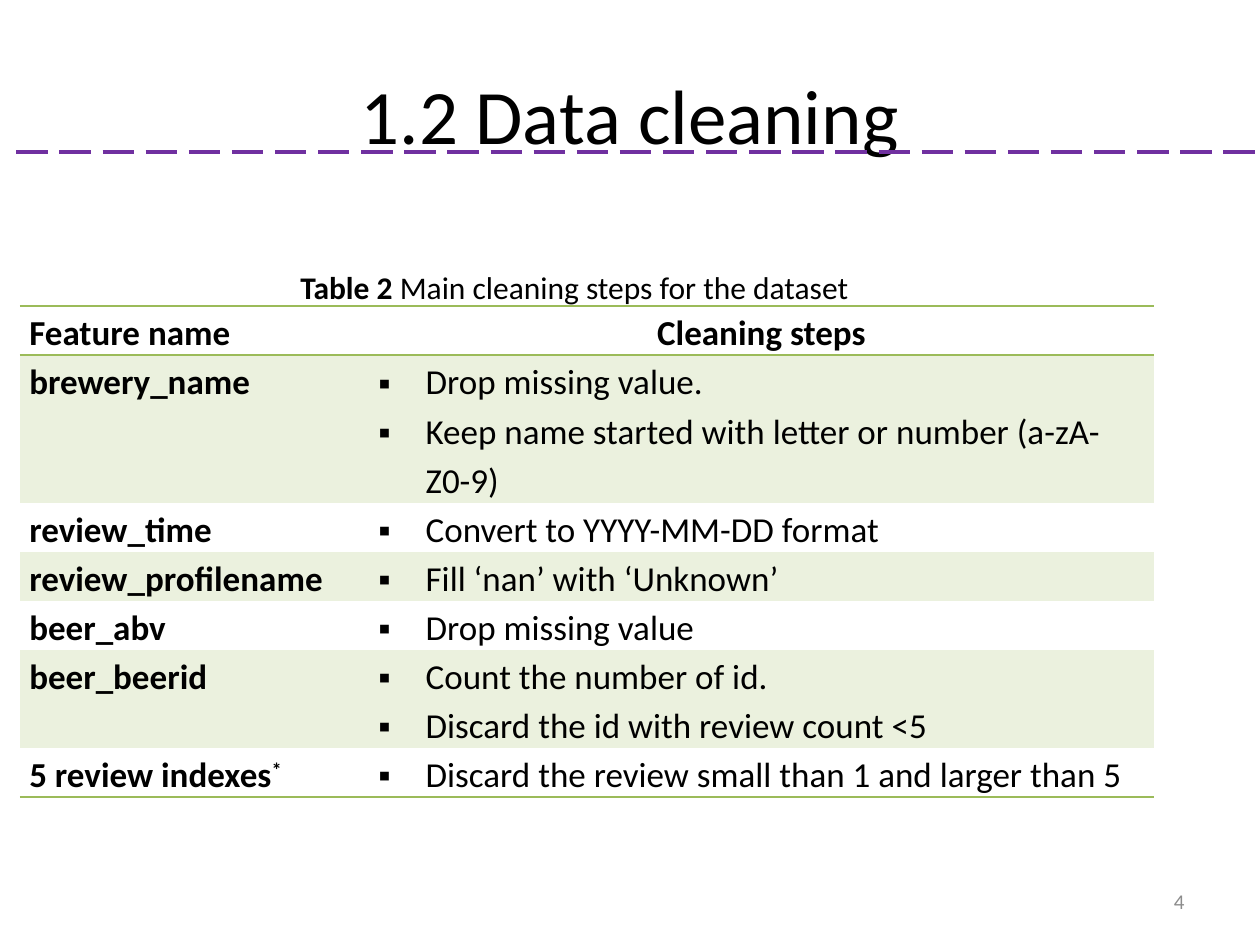
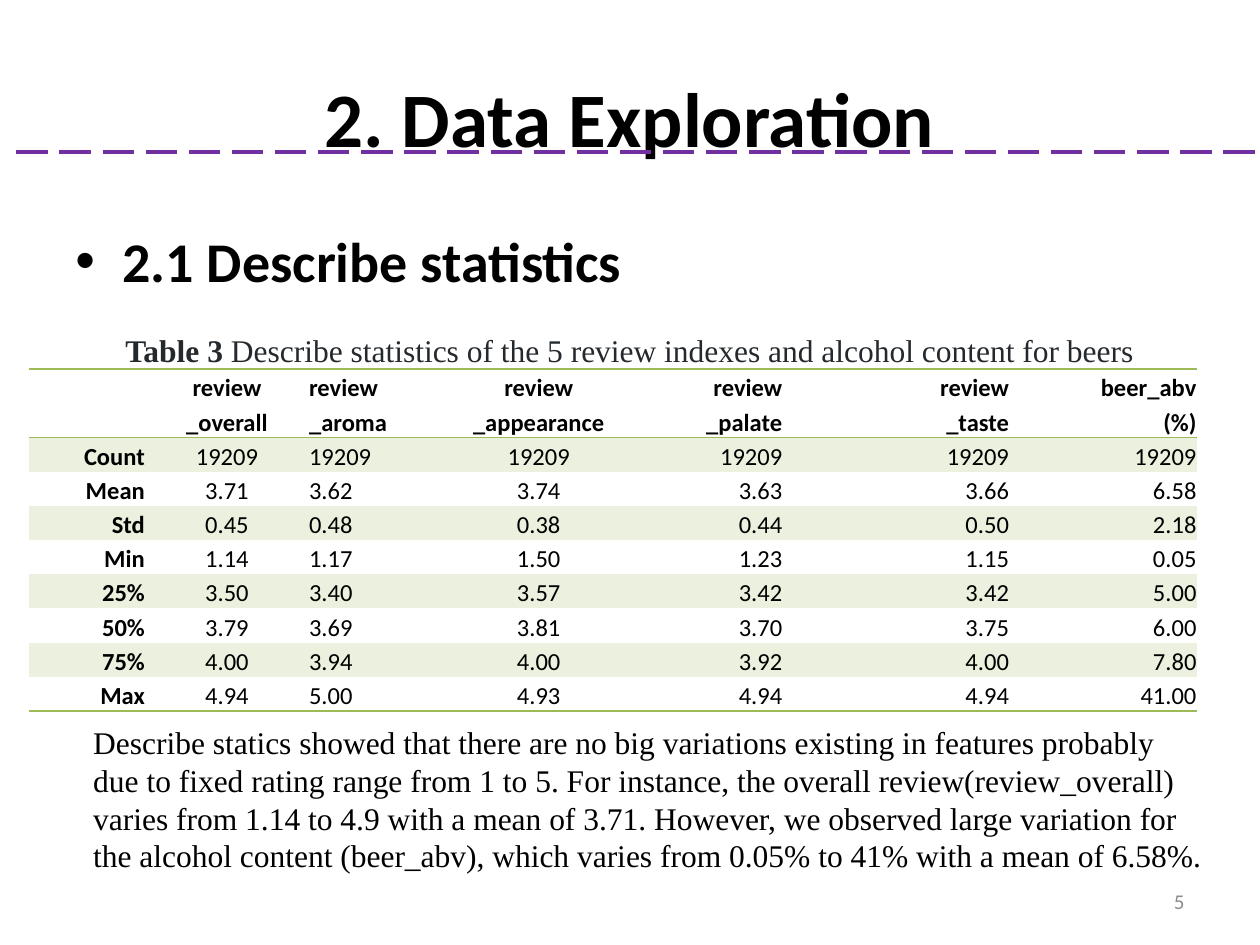
from lxml import etree
from pptx import Presentation
from pptx.dml.color import RGBColor
from pptx.enum.dml import MSO_LINE
from pptx.enum.shapes import MSO_CONNECTOR
from pptx.enum.text import MSO_ANCHOR, PP_ALIGN
from pptx.oxml.ns import qn
from pptx.util import Cm, Pt

LEFT, CENTER, RIGHT = PP_ALIGN.LEFT, PP_ALIGN.CENTER, PP_ALIGN.RIGHT
MIDDLE = MSO_ANCHOR.MIDDLE
STRAIGHT = MSO_CONNECTOR.STRAIGHT
LONG_DASH = MSO_LINE.LONG_DASH

COLORS = {"text": "000000", "caption": "24292E", "number": "8C8C8C",
          "rule": "7030A0", "border": "9BBB59", "band": "EBF1DE"}
SANS, SERIF = "Calibri", "Times New Roman"
NO_STYLE = "{2D5ABB26-0587-4C30-8999-92F81FD0307C}"
TABLE_SPACING = 1.15

CLEANING_TITLE = "1.2 Data cleaning"
CLEANING_CAPTION = [("Table 2 ", {"bold": True}), "Main cleaning steps for the dataset"]
CLEANING_HEADER = ("Feature name", "Cleaning steps")
# Feature, steps, number of text lines in the row
CLEANING_STEPS = [
    ("brewery_name", ["Drop missing value.",
                      "Keep name started with letter or number (a-zA-Z0-9)"], 3),
    ("review_time", ["Convert to YYYY-MM-DD format"], 1),
    ("review_profilename", ["Fill ‘nan’ with ‘Unknown’"], 1),
    ("beer_abv", ["Drop missing value"], 1),
    ("beer_beerid", ["Count the number of id.",
                     "Discard the id with review count <5"], 2),
    (["5 review indexes", ("*", {"baseline": 30})],
     ["Discard the review small than 1 and larger than 5"], 1),
]

EXPLORATION_TITLE = "2. Data Exploration"
EXPLORATION_HEADING = "2.1 Describe statistics"
STATS_CAPTION = [("Table 3 ", {"bold": True}),
                 "Describe statistics of the 5 review indexes and alcohol content for beers"]
STATS_HEADER = [[], ["review", "_overall"], ["review", "_aroma"],
                ["review", "_appearance"], ["review", "_palate"],
                ["review", "_taste"], ["beer_abv", "(%)"]]
STATS = [
    ("Count", "19209", "19209", "19209", "19209", "19209", "19209"),
    ("Mean", "3.71", "3.62", "3.74", "3.63", "3.66", "6.58"),
    ("Std", "0.45", "0.48", "0.38", "0.44", "0.50", "2.18"),
    ("Min", "1.14", "1.17", "1.50", "1.23", "1.15", "0.05"),
    ("25%", "3.50", "3.40", "3.57", "3.42", "3.42", "5.00"),
    ("50%", "3.79", "3.69", "3.81", "3.70", "3.75", "6.00"),
    ("75%", "4.00", "3.94", "4.00", "3.92", "4.00", "7.80"),
    ("Max", "4.94", "5.00", "4.93", "4.94", "4.94", "41.00"),
]
STATS_ALIGN = (RIGHT, CENTER, LEFT, CENTER, RIGHT, RIGHT, RIGHT)
STATS_SUMMARY = (
    "Describe statics showed that there are no big variations existing in features "
    "probably due to fixed rating range from 1 to 5. For instance, the overall "
    "review(review_overall) varies from 1.14 to 4.9 with a mean of 3.71. However, we "
    "observed large variation for the alcohol content (beer_abv), which varies from "
    "0.05% to 41% with a mean of 6.58%.")


def rgb(name):
    return RGBColor.from_string(COLORS[name])


def write(tf, paragraphs, size=18, font=SANS, color="text", bold=False, align=LEFT,
          spacing=None, before=0, bullet=None):
    """Fill a text frame; a paragraph is a string or a list of strings and (text, format) runs."""
    for i, runs in enumerate(paragraphs):
        p = tf.add_paragraph() if i else tf.paragraphs[0]
        p.alignment, p.space_before = align, Pt(before)
        if spacing:
            p.line_spacing = spacing
        if bullet:
            pPr = p._p.get_or_add_pPr()
            pPr.set("marL", str(Cm(0.95)))
            pPr.set("indent", str(-Cm(0.95)))
            etree.SubElement(pPr, qn("a:buFont")).set("typeface", "Arial")
            etree.SubElement(pPr, qn("a:buChar")).set("char", bullet)
        for run in [runs] if isinstance(runs, str) else runs:
            text, fmt = (run, {}) if isinstance(run, str) else run
            r = p.add_run()
            r.text = text
            r.font.name, r.font.size = font, Pt(size)
            r.font.bold = fmt.get("bold", bold)
            r.font.color.rgb = rgb(color)
            if "baseline" in fmt:
                r.font._element.set("baseline", str(fmt["baseline"] * 1000))


def add_text(s, box, paragraphs, wrap=True, anchor=None, **fmt):
    sp = s.shapes.add_textbox(*map(Cm, box))
    tf = sp.text_frame
    tf.word_wrap = wrap
    if anchor is not None:
        tf.vertical_anchor = anchor
    write(tf, paragraphs, **fmt)


def new_slide(prs, title, top, number, bold=False):
    """Add a slide with its title and page number."""
    s = prs.slides.add_slide(prs.slide_layouts[5])
    sp = s.shapes.title
    sp.left, sp.top, sp.width, sp.height = map(Cm, (1.27, top, 22.86, 3.18))
    sp.text_frame.vertical_anchor = MIDDLE
    write(sp.text_frame, [title], size=44, bold=bold, align=CENTER)
    add_text(s, (18.2, 17.65, 5.93, 1.02), [number], anchor=MIDDLE,
             size=12, color="number", align=RIGHT)
    return s


def add_title_rule(s):
    line = s.shapes.add_connector(STRAIGHT, Cm(0.33), Cm(3.07), Cm(25.4), Cm(3.07))
    line.line.color.rgb = rgb("rule")
    line.line.width = Pt(2.25)
    line.line.dash_style = LONG_DASH
    etree.SubElement(line._element.spPr, qn("a:effectLst"))


def set_borders(cell, sides):
    tcPr = cell._tc.get_or_add_tcPr()
    for i, side in enumerate(sides):
        ln = etree.Element(qn(f"a:ln{side}"), w=str(Pt(1)))
        fill = etree.SubElement(ln, qn("a:solidFill"))
        etree.SubElement(fill, qn("a:srgbClr")).set("val", COLORS["border"])
        tcPr.insert(i, ln)


def add_ruled_table(s, left, top, widths, heights, margins):
    """Add an empty table with ruled header and foot and every other row tinted."""
    frame = s.shapes.add_table(len(heights), len(widths), Cm(left), Cm(top),
                               Cm(sum(widths)), Cm(sum(heights)))
    table = frame.table
    table.first_row = table.horz_banding = False
    table._tbl.tblPr.find(qn("a:tableStyleId")).text = NO_STYLE
    for column, width in zip(table.columns, widths):
        column.width = Cm(width)
    for i, (row, height) in enumerate(zip(table.rows, heights)):
        row.height = Cm(height)
        sides = "TB" if i == 0 else "B" if i == len(heights) - 1 else ""
        for cell in row.cells:
            cell.margin_left, cell.margin_right = map(Cm, margins)
            cell.margin_top = cell.margin_bottom = 0
            if i % 2:
                cell.fill.solid()
                cell.fill.fore_color.rgb = rgb("band")
            else:
                cell.fill.background()
            set_borders(cell, sides)
    return table


def cleaning_slide(prs):
    s = new_slide(prs, CLEANING_TITLE, 0.71, "4")
    line_height = 0.99
    heights = [line_height] + [line_height * lines for _, _, lines in CLEANING_STEPS]
    table = add_ruled_table(s, 0.4, 6.17, (7.04, 15.82), heights, (0.19, 0.19))
    fmt = {"size": 20, "spacing": TABLE_SPACING}
    for col, (name, align) in enumerate(zip(CLEANING_HEADER, (LEFT, CENTER))):
        write(table.cell(0, col).text_frame, [name], bold=True, align=align, **fmt)
    for row, (feature, steps, _) in enumerate(CLEANING_STEPS, 1):
        write(table.cell(row, 0).text_frame, [feature], bold=True, **fmt)
        write(table.cell(row, 1).text_frame, steps, bullet="▪", **fmt)
    add_title_rule(s)
    add_text(s, (5.74, 5.16, 11.68, 1.09), [CLEANING_CAPTION], wrap=False,
             align=CENTER, spacing=TABLE_SPACING)


def exploration_slide(prs):
    s = new_slide(prs, EXPLORATION_TITLE, 0.76, "5", bold=True)
    add_text(s, (1.27, 4.45, 22.86, 1.9), [EXPLORATION_HEADING], size=32, bold=True,
             before=6.4, bullet="•")
    widths = (2.34, 3.28, 3.12, 3.05, 3.4, 4.57, 3.78)
    heights = [1.38] + [0.69] * len(STATS)
    table = add_ruled_table(s, 0.58, 7.44, widths, heights, (0.03, 0))
    rows = [STATS_HEADER] + [[[value] for value in row] for row in STATS]
    for i, row in enumerate(rows):
        for j, (lines, align) in enumerate(zip(row, STATS_ALIGN)):
            write(table.cell(i, j).text_frame, lines, size=14, bold=i == 0 or j == 0,
                  align=align, spacing=TABLE_SPACING)
    add_text(s, (1.37, 6.43, 22.66, 1.09), [STATS_CAPTION], font=SERIF, color="caption",
             align=CENTER, spacing=TABLE_SPACING, before=6)
    add_text(s, (1.63, 14.45, 22.86, 4.11), [STATS_SUMMARY], font=SERIF)
    add_title_rule(s)


def main():
    prs = Presentation()
    prs.slide_width, prs.slide_height = Cm(25.4), Cm(19.05)
    cleaning_slide(prs)
    exploration_slide(prs)
    prs.save("out.pptx")


if __name__ == "__main__":
    main()
